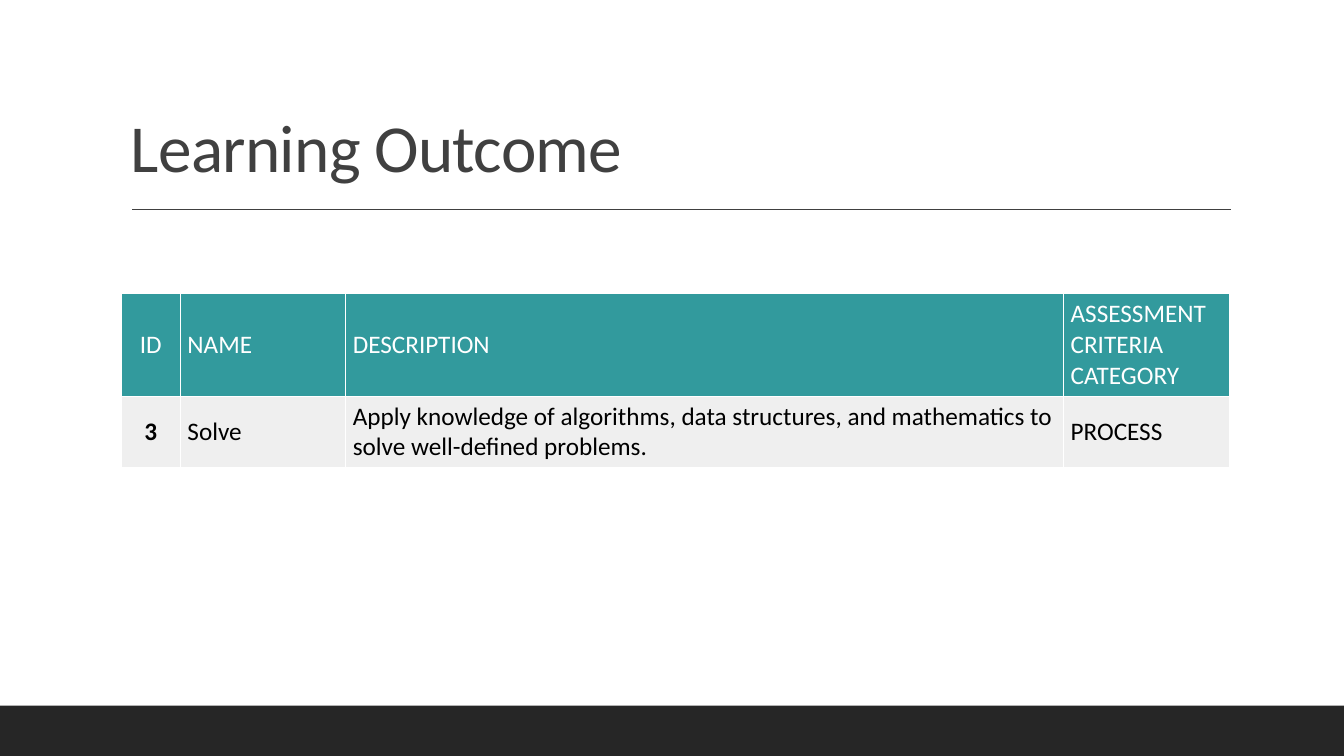
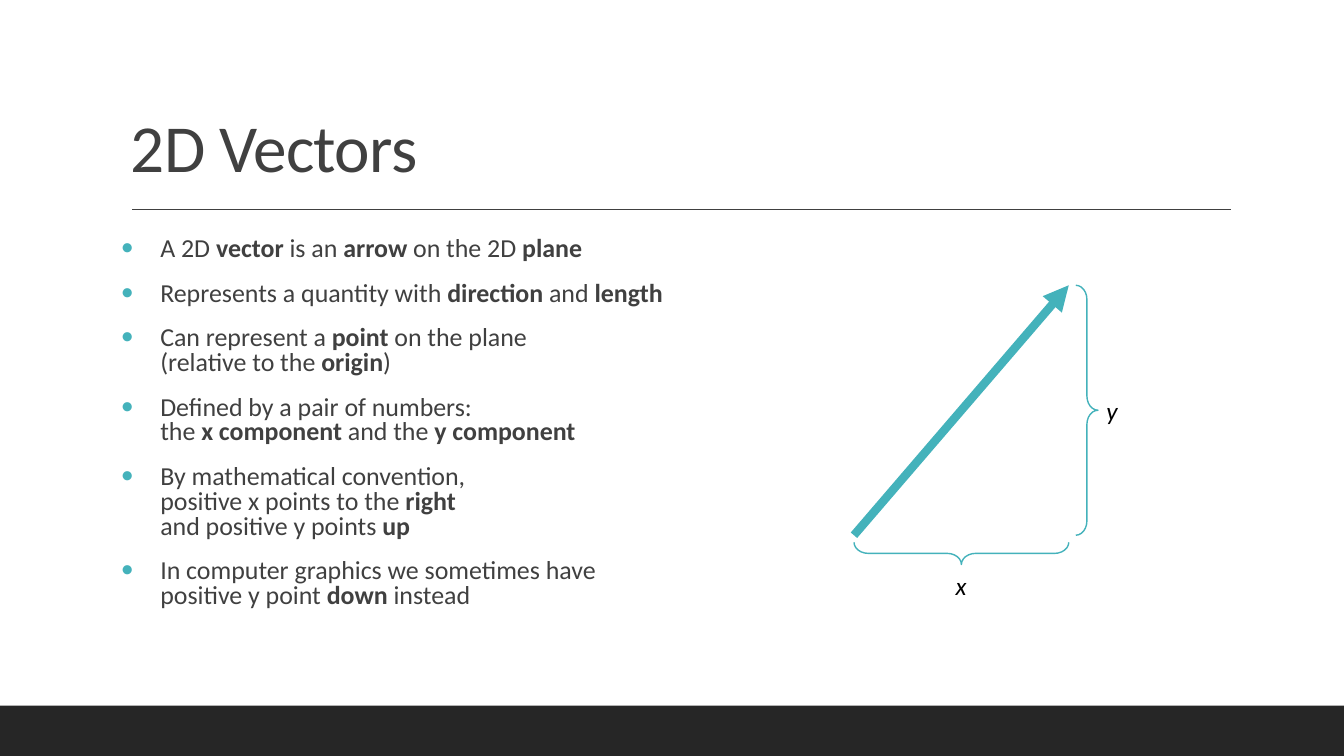
from dataclasses import dataclass

from lxml.etree import SubElement
from pptx import Presentation
from pptx.dml.color import RGBColor
from pptx.enum.shapes import MSO_CONNECTOR as Connector, MSO_SHAPE as Shape
from pptx.enum.text import MSO_ANCHOR as Anchor, PP_ALIGN as Align
from pptx.oxml.ns import qn
from pptx.util import Inches, Pt


@dataclass(frozen=True)
class Theme:
    font: str = "Calibri"
    ink: str = "404040"
    black: str = "000000"
    white: str = "FFFFFF"
    band: str = "262626"
    accent: str = "44B2BB"
    header: str = "329A9D"
    row: str = "EFEFEF"
    title_size: float = 48
    body_size: float = 18.5
    label_size: float = 18


THEME = Theme()
SLIDE_W, SLIDE_H = 13.33, 7.5

# Content
OUTCOME_TITLE = "Learning Outcome"
OUTCOME_ROWS = [
    ("ID", "NAME", "DESCRIPTION", "ASSESSMENT CRITERIA CATEGORY"),
    ("3", "Solve",
     "Apply knowledge of algorithms, data structures, and mathematics "
     "to solve well-defined problems.", "PROCESS"),
]
COLUMN_WIDTHS = (0.59, 1.64, 7.12, 1.65)
ROW_HEIGHTS = (1.02, 0.71)

VECTORS_TITLE = "2D Vectors"
# Asterisks enclose bold words
VECTOR_POINTS = [
    "A 2D *vector* is an *arrow* on the 2D *plane*",
    "Represents a quantity with *direction* and *length*",
    "Can represent a *point* on the plane\n(relative to the *origin*)",
    "Defined by a pair of numbers:\nthe *x component* and the *y component*",
    "By mathematical convention,\npositive x points to the *right*\n"
    "and positive y points *up*",
    "In computer graphics we sometimes have\npositive y point *down* instead",
]
VECTOR_START, VECTOR_TIP = (8.47, 5.31), (10.6, 2.83)
BRACE_DEPTH, BRACE_GAP = 0.22, 0.07
LABEL_W, LABEL_H = 0.31, 0.4


# Shared helpers
def apply(target, formats):
    for name, value in formats.items():
        setattr(target, name, value)


def rgb(colour):
    return RGBColor.from_string(colour)


def add_run(paragraph, text, size, colour, **formats):
    run = paragraph.add_run()
    run.text = text
    apply(run.font, {"name": THEME.font, "size": Pt(size), **formats})
    run.font.color.rgb = rgb(colour)
    return run


def add_text_frame(slide, left, top, width, height, **formats):
    box = slide.shapes.add_textbox(*map(Inches, (left, top, width, height)))
    apply(box.text_frame, {"word_wrap": True, **formats})
    return box.text_frame


def add_line(slide, start, end, colour, width):
    line = slide.shapes.add_connector(
        Connector.STRAIGHT, *map(Inches, (*start, *end)))
    line.line.color.rgb = rgb(colour)
    line.line.width = Pt(width)
    SubElement(line._element.spPr, qn("a:effectLst"))
    return line


def add_titled_slide(deck, title):
    slide = deck.slides.add_slide(deck.slide_layouts[6])
    band = slide.shapes.add_shape(
        Shape.RECTANGLE, *map(Inches, (0, 7, SLIDE_W, 0.5)))
    band.shadow.inherit = False
    band.fill.solid()
    band.fill.fore_color.rgb = rgb(THEME.band)
    band.line.fill.background()
    add_line(slide, (1.31, 2.08), (12.21, 2.08), THEME.ink, 1)

    heading = add_text_frame(slide, 1.2, 0.31, 11, 1.59,
                             vertical_anchor=Anchor.BOTTOM).paragraphs[0]
    heading.line_spacing = 0.9
    run = add_run(heading, title, THEME.title_size, THEME.ink)
    run._r.get_or_add_rPr().set("spc", "-50")
    return slide


# Outcome table
def add_cell_borders(cell):
    properties = cell._tc.get_or_add_tcPr()
    for side in ("lnL", "lnR", "lnT", "lnB"):
        border = SubElement(properties, qn(f"a:{side}"), w=str(Pt(1)))
        fill = SubElement(border, qn("a:solidFill"))
        SubElement(fill, qn("a:srgbClr"), val=THEME.white)


def build_outcome(deck):
    slide = add_titled_slide(deck, OUTCOME_TITLE)
    table = slide.shapes.add_table(
        len(OUTCOME_ROWS), len(COLUMN_WIDTHS), Inches(1.2), Inches(2.91),
        Inches(sum(COLUMN_WIDTHS)), Inches(sum(ROW_HEIGHTS))).table
    for column, width in zip(table.columns, COLUMN_WIDTHS):
        column.width = Inches(width)
    for row, height in zip(table.rows, ROW_HEIGHTS):
        row.height = Inches(height)

    for r, texts in enumerate(OUTCOME_ROWS):
        is_header = r == 0
        for c, text in enumerate(texts):
            is_id = c == 0
            cell = table.cell(r, c)
            apply(cell, {"vertical_anchor": Anchor.MIDDLE,
                         "margin_left": Inches(0.1 if is_id else 0.07)})
            add_cell_borders(cell)
            cell.fill.solid()
            cell.fill.fore_color.rgb = rgb(
                THEME.header if is_header else THEME.row)
            paragraph = cell.text_frame.paragraphs[0]
            paragraph.alignment = Align.CENTER if is_id else Align.LEFT
            add_run(paragraph, text, THEME.label_size,
                    THEME.white if is_header else THEME.black,
                    bold=is_id and not is_header)


# Vector bullets and diagram
def add_bullet(paragraph):
    properties = paragraph._p.get_or_add_pPr()
    apply_indent = {"marL": Inches(0.39), "indent": Inches(-0.39)}
    for name, value in apply_indent.items():
        properties.set(name, str(value))
    colour = SubElement(properties, qn("a:buClr"))
    SubElement(colour, qn("a:srgbClr"), val=THEME.accent)
    SubElement(properties, qn("a:buFont"), typeface=THEME.font)
    SubElement(properties, qn("a:buChar"), char="•")


def add_points(slide):
    frame = add_text_frame(slide, 1.2, 2.31, 6.53, 4.11,
                           margin_left=0, margin_right=0)
    for i, point in enumerate(VECTOR_POINTS):
        paragraph = frame.add_paragraph() if i else frame.paragraphs[0]
        add_bullet(paragraph)
        apply(paragraph, {"line_spacing": 0.8, "space_after": Pt(2),
                          "space_before": Pt(12 if i else 0)})
        for part, phrase in enumerate(point.split("*")):
            for n, text in enumerate(phrase.split("\n")):
                if n:
                    paragraph.add_line_break()
                if text:
                    add_run(paragraph, text, THEME.body_size, THEME.ink,
                            bold=part % 2 == 1)


def add_brace(slide, centre, length, rotation):
    x, y = centre
    brace = slide.shapes.add_shape(Shape.RIGHT_BRACE, *map(Inches, (
        x - BRACE_DEPTH / 2, y - length / 2, BRACE_DEPTH, length)))
    brace.shadow.inherit = False
    brace.rotation = rotation
    brace.adjustments[0] = 0.645
    brace.fill.background()
    brace.line.color.rgb = rgb(THEME.accent)
    brace.line.width = Pt(1)


def add_label(slide, text, centre):
    x, y = centre
    frame = add_text_frame(slide, x - LABEL_W / 2, y - LABEL_H / 2,
                           LABEL_W, LABEL_H, word_wrap=False)
    add_run(frame.paragraphs[0], text, THEME.label_size, THEME.black,
            italic=True)


def build_vectors(deck):
    slide = add_titled_slide(deck, VECTORS_TITLE)
    add_points(slide)
    arrow = add_line(slide, VECTOR_START, VECTOR_TIP, THEME.accent, 6)
    SubElement(arrow.line._get_or_add_ln(), qn("a:tailEnd"), type="triangle")

    (x0, y0), (x1, y1) = VECTOR_START, VECTOR_TIP
    mid_x, mid_y = (x0 + x1) / 2, (y0 + y1) / 2
    brace_offset = BRACE_GAP + BRACE_DEPTH / 2
    label_offset = 0.43
    components = [
        ("x", (mid_x, y0 + brace_offset), x1 - x0, 90,
         (mid_x, y0 + label_offset + BRACE_GAP)),
        ("y", (x1 + brace_offset, mid_y), y0 - y1, 0,
         (x1 + label_offset, mid_y)),
    ]
    for name, brace_centre, length, rotation, label_centre in components:
        add_brace(slide, brace_centre, length, rotation)
        add_label(slide, name, label_centre)


def main():
    deck = Presentation()
    apply(deck, {"slide_width": Inches(SLIDE_W),
                 "slide_height": Inches(SLIDE_H)})
    build_outcome(deck)
    build_vectors(deck)
    deck.save("out.pptx")


if __name__ == "__main__":
    main()
